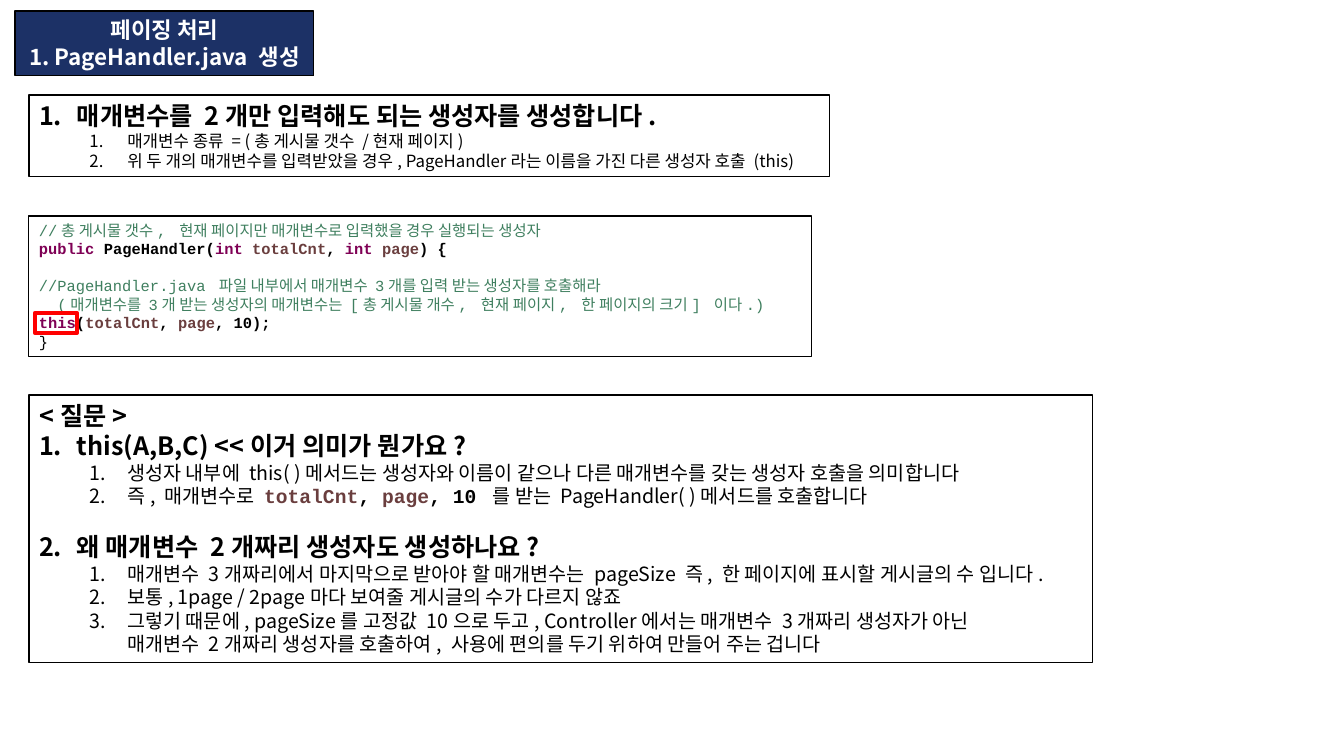
"""Build the slide on the two-parameter PageHandler constructor."""
from copy import deepcopy

from lxml.etree import SubElement
from pptx import Presentation
from pptx.dml.color import RGBColor
from pptx.enum.shapes import MSO_SHAPE
from pptx.enum.text import MSO_ANCHOR, MSO_AUTO_SIZE, PP_ALIGN
from pptx.oxml.ns import qn
from pptx.util import Emu, Pt

PX = 914400 / 100.8
SANS, MONO = "Noto Sans CJK KR", "Courier New"
COLORS = {
    "black": "000000", "white": "FFFFFF", "navy": "1C3166", "red": "FF0000",
    "keyword": "7F0055", "variable": "6A3E3E", "comment": "3F7F5F",
}


def add_text(paragraph, text, size=18, color="black", bold=False, font=SANS):
    for index, line in enumerate(text.split("\n")):
        if index:
            paragraph.add_line_break()
        run = paragraph.add_run()
        run.text = line
        run.font.size = Pt(size)
        run.font.bold = bold
        run.font.color.rgb = RGBColor.from_string(COLORS[color])
        run.font.name = font
        properties = run._r.find(qn("a:rPr"))
        SubElement(properties, qn("a:ea"), typeface=SANS)
    for line_break in paragraph._p.findall(qn("a:br")):
        line_break.append(deepcopy(properties))


def frame(shape, box, line="black", width=0.75, fill=None):
    shape.left, shape.top, shape.width, shape.height = [Emu(round(v * PX)) for v in box]
    shape.line.color.rgb = RGBColor.from_string(COLORS[line])
    shape.line.width = Pt(width)
    if fill:
        shape.fill.solid()
        shape.fill.fore_color.rgb = RGBColor.from_string(COLORS[fill])
    else:
        shape.fill.background()
    text_frame = shape.text_frame
    text_frame.word_wrap = True
    text_frame.auto_size = MSO_AUTO_SIZE.NONE
    text_frame.vertical_anchor = MSO_ANCHOR.TOP
    return text_frame


presentation = Presentation()
presentation.slide_width, presentation.slide_height = Emu(round(1344 * PX)), Emu(round(756 * PX))
slide = presentation.slides.add_slide(presentation.slide_layouts[3])
title, parameters, questions = slide.placeholders

title_frame = frame(title, (15, 11, 299, 65), fill="navy")
for index, text in enumerate(["페이징 처리", "1. PageHandler.java 생성"]):
    paragraph = title_frame.add_paragraph() if index else title_frame.paragraphs[0]
    paragraph.alignment = PP_ALIGN.CENTER
    add_text(paragraph, text, size=16, color="white", bold=True)

parameter_items = [
    (0, "매개변수를 2개만 입력해도 되는 생성자를 생성합니다."),
    (1, "매개변수 종류 = (총 게시물 갯수 /현재 페이지)"),
    (1, "위 두 개의 매개변수를 입력받았을 경우, PageHandler라는 이름을 가진 다른 생성자 호출 (this)"),
]
call_runs = [
    ("즉, 매개변수로 ", {}),
    ("totalCnt", {"color": "variable", "bold": True, "font": MONO}),
    (", ", {"bold": True, "font": MONO}),
    ("page", {"color": "variable", "bold": True, "font": MONO}),
    (", 10 ", {"bold": True, "font": MONO}),
    ("를 받는 PageHandler( )메서드를 호출합니다", {}),
]
question_items = [
    (None, "<질문>"),
    (0, "this(A,B,C) <<이거 의미가 뭔가요?"),
    (1, "생성자 내부에 this( )메서드는 생성자와 이름이 같으나 다른 매개변수를 갖는 생성자 호출을 의미합니다"),
    (1, call_runs),
    (0, "왜 매개변수 2개짜리 생성자도 생성하나요?"),
    (1, "매개변수 3개짜리에서 마지막으로 받아야 할 매개변수는 pageSize 즉, 한 페이지에 표시할 게시글의 수 입니다."),
    (1, "보통, 1page / 2page마다 보여줄 게시글의 수가 다르지 않죠"),
    (1, "그렇기 때문에, pageSize를 고정값 10으로 두고, Controller에서는 매개변수 3개짜리 생성자가 아닌\n"
        "매개변수 2개짜리 생성자를 호출하여, 사용에 편의를 두기 위하여 만들어 주는 겁니다"),
]
lists = [
    (parameters, (29, 95, 801, 82), 12, parameter_items),
    (questions, (29, 395, 1064, 268), 14, question_items),
]
for shape, box, detail_size, items in lists:
    list_frame = frame(shape, box)
    previous_level = None
    for index, (level, content) in enumerate(items):
        paragraph = list_frame.add_paragraph() if index else list_frame.paragraphs[0]
        paragraph.level = level or 0
        paragraph.space_before = Pt(17 if level == 0 and previous_level == 1 else 0)
        properties = paragraph._p.get_or_add_pPr()
        if level is None:
            properties.set("marL", "0")
            properties.set("indent", "0")
            SubElement(properties, qn("a:buNone"))
        else:
            properties.set("marL", str(342900 + 457200 * level))
            properties.set("indent", "-342900")
            SubElement(properties, qn("a:buFont"), typeface="+mj-lt")
            SubElement(properties, qn("a:buAutoNum"), type="arabicPeriod")
        heading = level != 1
        base = {"size": 18 if heading else detail_size, "bold": heading}
        runs = [(content, {})] if isinstance(content, str) else content
        for text, style in runs:
            add_text(paragraph, text, **{**base, **style})
        previous_level = level

code_lines = [
    (0, [("//총 게시물 갯수, 현재 페이지만 매개변수로 입력했을 경우 실행되는 생성자", "comment", False)]),
    (0, [("public", "keyword", True), (" PageHandler(", "black", True),
         ("int ", "keyword", True), ("totalCnt", "variable", True), (", ", "black", True),
         ("int ", "keyword", True), ("page", "variable", True), (") {", "black", True)]),
    (13, [("//PageHandler.java 파일 내부에서 매개변수 3개를 입력 받는 생성자를 호출해라", "comment", False)]),
    (0, [("  (매개변수를 3개 받는 생성자의 매개변수는 [총 게시물 개수, 현재 페이지, 한 페이지의 크기] 이다.)",
          "comment", False)]),
    (0, [("this", "keyword", True), ("(", "black", True), ("totalCnt", "variable", True),
         (", ", "black", True), ("page", "variable", True), (", 10);", "black", True)]),
    (0, [("}", "black", False)]),
]
code = slide.shapes.add_shape(MSO_SHAPE.RECTANGLE, 0, 0, 0, 0)
code.shadow.inherit = False
code_frame = frame(code, (29, 216, 783, 141))
for index, (space, runs) in enumerate(code_lines):
    paragraph = code_frame.add_paragraph() if index else code_frame.paragraphs[0]
    paragraph.alignment = PP_ALIGN.LEFT
    paragraph.space_before = Pt(space)
    for text, color, bold in runs:
        add_text(paragraph, text, size=11, color=color, bold=bold, font=MONO)

highlight = slide.shapes.add_shape(MSO_SHAPE.RECTANGLE, 0, 0, 0, 0)
highlight.shadow.inherit = False
frame(highlight, (35, 313, 42, 20), line="red", width=3)

presentation.save("out.pptx")
